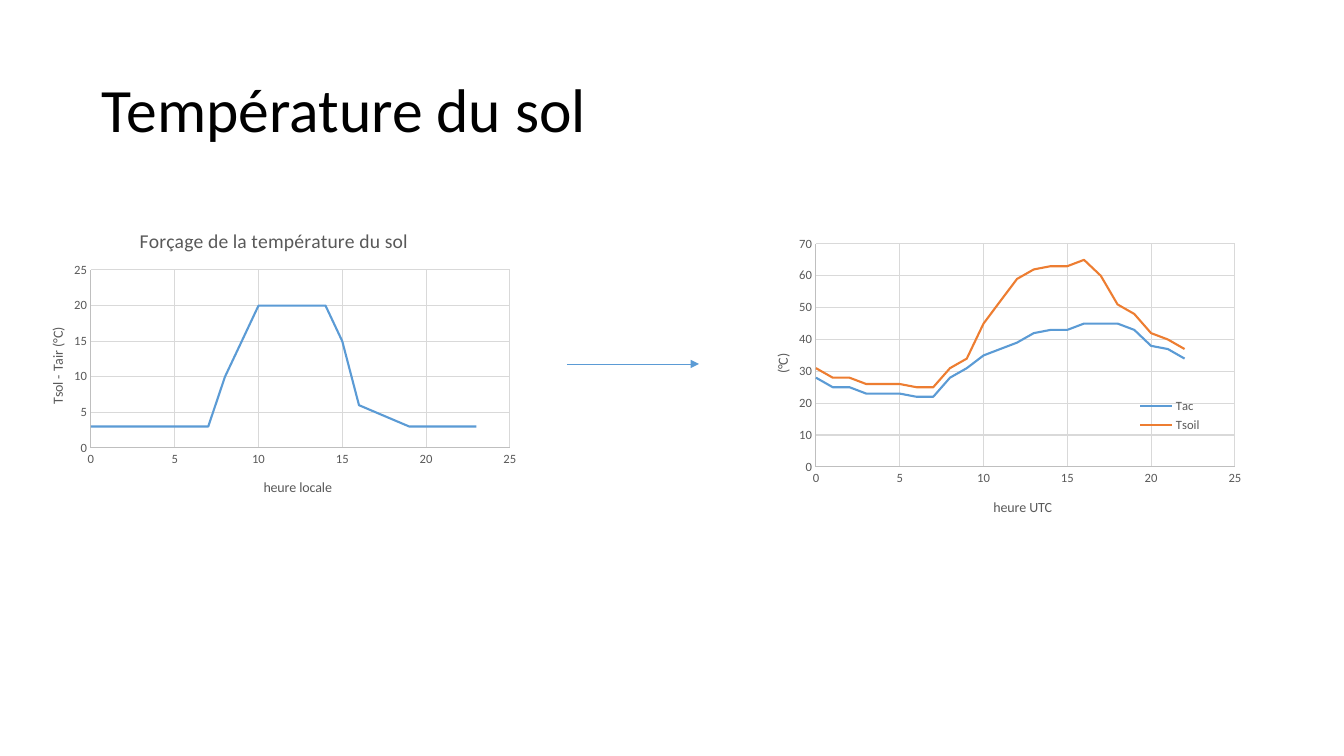
import lxml.etree
import pptx
import pptx.chart.data
import pptx.dml.color
import pptx.enum.chart
import pptx.enum.shapes
import pptx.enum.text
import pptx.oxml.ns
import pptx.util

PX = 9071  # EMU per px, at 100.8 px to the inch
CHART_W, CHART_H = 504, 302
GREY, BLUE, ORANGE = "595959", "5B9BD5", "ED7D31"
qn = pptx.oxml.ns.qn
Pt = pptx.util.Pt


def rgb(value):
    return pptx.dml.color.RGBColor.from_string(value)


def set_layout(el, index, chart_at, box, inner=False):
    """Fix a chart part at box (left, top and maybe width, height), in slide px."""
    for old in el.findall(qn("c:layout")):
        el.remove(old)
    layout = lxml.etree.Element(qn("c:layout"))
    manual = lxml.etree.SubElement(layout, qn("c:manualLayout"))
    if inner:
        lxml.etree.SubElement(manual, qn("c:layoutTarget")).set("val", "inner")
    for key in ("xMode", "yMode"):
        lxml.etree.SubElement(manual, qn("c:" + key)).set("val", "edge")
    lengths = (box[0] - chart_at[0], box[1] - chart_at[1], *box[2:])
    for key, length, full in zip("xywh", lengths, (CHART_W, CHART_H) * 2):
        lxml.etree.SubElement(manual, qn("c:" + key)).set("val", f"{length / full:.4f}")
    el.insert(index, layout)


prs = pptx.Presentation()
prs.slide_width = pptx.util.Inches(13.333)
prs.slide_height = pptx.util.Inches(7.5)
s = prs.slides.add_slide(prs.slide_layouts[6])

# Title
tf = s.shapes.add_textbox(92 * PX, 40 * PX, 1159 * PX, 146 * PX).text_frame
tf.word_wrap = True
tf.vertical_anchor = pptx.enum.text.MSO_ANCHOR.MIDDLE
p = tf.paragraphs[0]
p.line_spacing = 0.9
r = p.add_run()
r.text = "Température du sol"
r.font.size, r.font.name = Pt(44), "Calibri"
r.font.color.rgb = rgb("000000")

# Charts: one value per hour, starting at hour 0
charts = [
    {
        "at": (22, 212), "plot": (91, 270, 419, 178), "y_max": 25, "y_step": 5,
        "title": "Forçage de la température du sol", "legend": None,
        "x_title": ("heure locale", (261, 476)), "y_title": ("Tsol - Tair (°C)", (46, 325)),
        "series": [
            ("Series 1", BLUE, [3] * 8 + [10, 15] + [20] * 5 + [15, 6, 5, 4] + [3] * 5),
        ],
    },
    {
        "at": (748, 231), "plot": (816, 244, 419, 223), "y_max": 70, "y_step": 10,
        "title": None, "legend": (1136, 394, 68, 43),
        "x_title": ("heure UTC", (991, 496)), "y_title": ("(°C)", (771, 351)),
        "series": [
            ("Tac", BLUE, [28, 25, 25, 23, 23, 23, 22, 22, 28, 31, 35, 37,
                           39, 42, 43, 43, 45, 45, 45, 43, 38, 37, 34]),
            ("Tsoil", ORANGE, [31, 28, 28, 26, 26, 26, 25, 25, 31, 34, 45, 52,
                               59, 62, 63, 63, 65, 60, 51, 48, 42, 40, 37]),
        ],
    },
]
for spec_ in charts:
    at = spec_["at"]
    data = pptx.chart.data.XyChartData()
    for name, _, values in spec_["series"]:
        series = data.add_series(name)
        for hour, value in enumerate(values):
            series.add_data_point(hour, value)
    chart = s.shapes.add_chart(
        pptx.enum.chart.XL_CHART_TYPE.XY_SCATTER_LINES_NO_MARKERS,
        at[0] * PX, at[1] * PX, CHART_W * PX, CHART_H * PX, data).chart
    chart.font.size, chart.font.name = Pt(10), "Calibri"
    chart.plots[0].vary_by_categories = False
    set_layout(chart.plots[0]._element.getparent(), 0, at, spec_["plot"], inner=True)

    for series, (_, color, _) in zip(chart.plots[0].series, spec_["series"]):
        series.smooth = False
        series.format.line.color.rgb = rgb(color)
        series.format.line.width = Pt(1.5)

    titles = []
    chart.has_title = spec_["title"] is not None
    if chart.has_title:
        titles.append((chart.chart_title, spec_["title"], 14))

    for axis, (text, title_at), top, step in (
            (chart.category_axis, spec_["x_title"], 25, 5),
            (chart.value_axis, spec_["y_title"], spec_["y_max"], spec_["y_step"])):
        axis.minimum_scale, axis.maximum_scale, axis.major_unit = 0, top, step
        axis.major_tick_mark = axis.minor_tick_mark = pptx.enum.chart.XL_TICK_MARK.NONE
        axis.has_major_gridlines = True
        for line, color in ((axis.format.line, "BFBFBF"),
                            (axis.major_gridlines.format.line, "D9D9D9")):
            line.color.rgb = rgb(color)
            line.width = Pt(0.75)
        font = axis.tick_labels.font
        font.size, font.name = Pt(9), "Calibri"
        font.color.rgb = rgb(GREY)
        axis.has_title = True
        titles.append((axis.axis_title, text, 10))
        axis.axis_title.text_frame.paragraphs[0].add_run()
        set_layout(axis.axis_title._element, 1, at, title_at)
    body = chart.value_axis.axis_title.text_frame._txBody.find(qn("a:bodyPr"))
    body.set("rot", "-5400000")
    body.set("vert", "horz")

    for title, text, size in titles:
        p = title.text_frame.paragraphs[0]
        r = p.runs[0] if p.runs else p.add_run()
        r.text = text
        r.font.size, r.font.name, r.font.bold = Pt(size), "Calibri", False
        r.font.color.rgb = rgb(GREY)

    chart.has_legend = spec_["legend"] is not None
    if chart.has_legend:
        legend = chart.legend
        legend.position = pptx.enum.chart.XL_LEGEND_POSITION.RIGHT
        legend.include_in_layout = True
        legend.font.size, legend.font.name = Pt(9), "Calibri"
        legend.font.color.rgb = rgb(GREY)
        set_layout(legend._element, 1, at, spec_["legend"])

# Arrow between the charts
arrow = s.shapes.add_connector(
    pptx.enum.shapes.MSO_CONNECTOR.STRAIGHT, 567 * PX, 364 * PX, 699 * PX, 364 * PX)
arrow.line.color.rgb = rgb(BLUE)
arrow.line.width = Pt(0.5)
lxml.etree.SubElement(arrow.line._get_or_add_ln(), qn("a:tailEnd")).set("type", "triangle")
lxml.etree.SubElement(arrow._element.spPr, qn("a:effectLst"))

prs.save("out.pptx")
